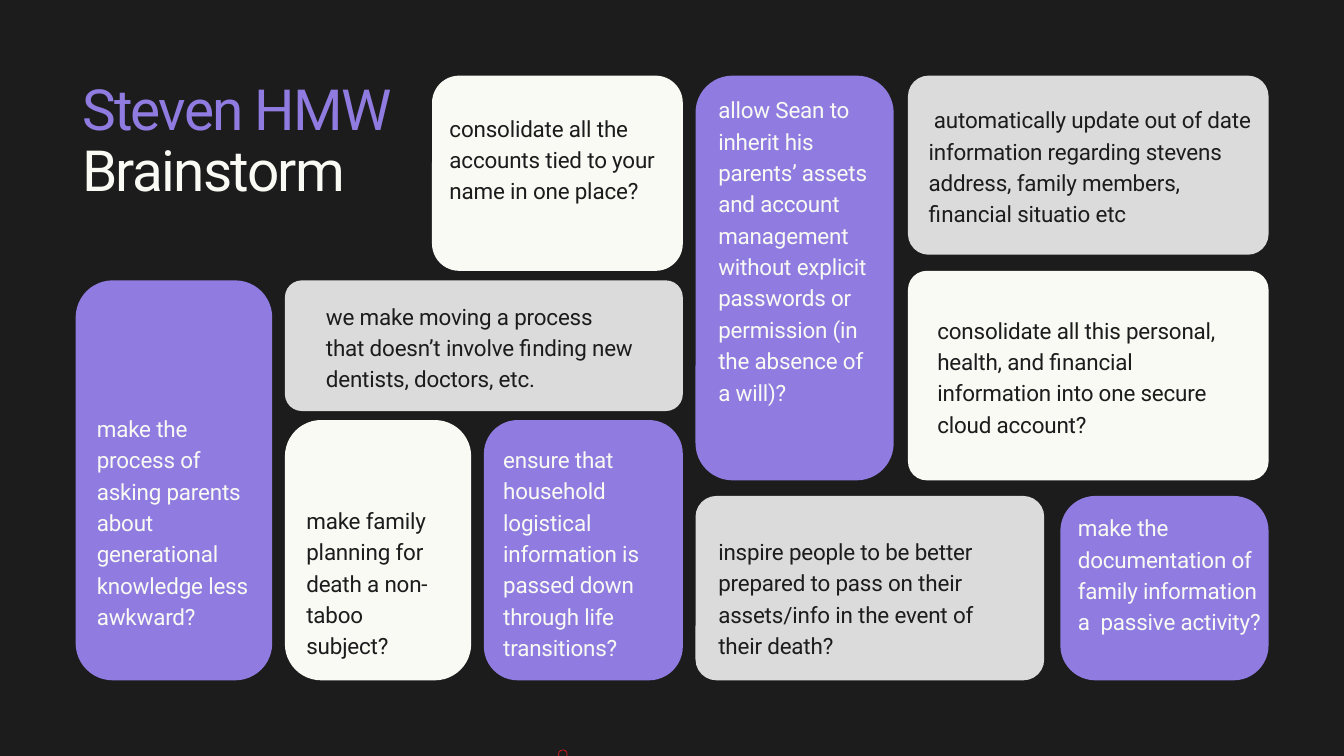
"""Build the Steven HMW brainstorm slide: a title and ten idea cards."""
from pptx import Presentation
from pptx.dml.color import RGBColor
from pptx.enum.shapes import MSO_SHAPE
from pptx.enum.text import MSO_ANCHOR, MSO_AUTO_SIZE, PP_ALIGN
from pptx.util import Cm, Pt

ROUNDED = MSO_SHAPE.ROUNDED_RECTANGLE
OVAL = MSO_SHAPE.OVAL
TOP = MSO_ANCHOR.TOP
NO_AUTOFIT = MSO_AUTO_SIZE.NONE
LEFT = PP_ALIGN.LEFT

DARK = RGBColor(0x1C, 0x1C, 0x1D)
PURPLE = RGBColor(0x90, 0x7C, 0xE1)
CREAM = RGBColor(0xF9, 0xFA, 0xF4)
GREY = RGBColor(0xDB, 0xDB, 0xDB)
RED = RGBColor(0xE7, 0x19, 0x1F)
FONT = "Roboto"

CARDS = [
    (PURPLE, (2.86, 10.6, 10.29, 25.72), 1.4, (3.66, 15.52, 5.84, 9.27),
     "make the process of asking parents about generational knowledge less awkward?"),
    (GREY, (26.29, 18.75, 39.47, 25.72), 0.79, (27.15, 20.17, 10.85, 4.62),
     "inspire people to be better prepared to pass on their assets/info in the event of their death?"),
    (PURPLE, (40.08, 18.75, 47.95, 25.72), 1.32, (40.74, 19.28, 7.06, 5.79),
     "make the documentation of family information a  passive activity?"),
    (PURPLE, (26.29, 2.86, 33.78, 18.16), 1.4, (27.15, 3.48, 5.84, 13.94),
     "allow Sean to inherit his parents’ assets and account management without explicit "
     "passwords or permission (in the absence of a will)?"),
    (GREY, (10.77, 10.6, 25.81, 15.54), 0.64, (12.32, 11.28, 11.66, 3.45),
     "we make moving a process that doesn’t involve finding new dentists, doctors, etc."),
    (CREAM, (16.33, 2.86, 25.81, 10.24), 1.03, (16.99, 4.17, 7.87, 4.62),
     "consolidate all the accounts tied to your name in one place?"),
    (CREAM, (10.77, 15.88, 17.81, 25.72), 1.37, (11.58, 19, 5.41, 5.79),
     "make family planning for death a non-taboo subject?"),
    (PURPLE, (18.29, 15.88, 25.81, 25.72), 1.28, (19.02, 16.69, 5.84, 8.1),
     "ensure that household logistical information is passed down through life transitions?"),
    (CREAM, (34.32, 10.24, 47.95, 18.16), 0.71, (35.43, 11.81, 11.66, 4.62),
     "consolidate all this personal, health, and financial information into one secure cloud account?"),
    (GREY, (34.32, 2.86, 47.95, 9.63), 0.78, (35.1, 3.86, 12.37, 4.62),
     " automatically update out of date information regarding stevens address, "
     "family members, financial situatio etc"),
]


def prepare_frame(frame):
    frame.margin_left = frame.margin_top = frame.margin_right = frame.margin_bottom = 0
    frame.word_wrap = True
    frame.auto_size = NO_AUTOFIT
    frame.vertical_anchor = TOP


def format_paragraph(paragraph, size, color, line_spacing, tracking):
    paragraph.alignment = LEFT
    paragraph.line_spacing = Pt(line_spacing)
    paragraph.space_before = Pt(0)
    paragraph.font.name = FONT
    paragraph.font.size = Pt(size)
    paragraph.font.color.rgb = color
    for run in paragraph.runs:
        run._r.get_or_add_rPr().set("spc", str(tracking))


presentation = Presentation()
presentation.slide_width = Cm(50.8)
presentation.slide_height = Cm(28.58)
slide = presentation.slides.add_slide(presentation.slide_layouts[5])
slide.background.fill.solid()
slide.background.fill.fore_color.rgb = DARK

title = slide.shapes.title
title.left, title.top, title.width, title.height = Cm(3.1), Cm(3.1), Cm(12.8), Cm(4.6)
title.text_frame.text = "Steven HMW\nBrainstorm"
prepare_frame(title.text_frame)
for paragraph, color in zip(title.text_frame.paragraphs, (PURPLE, CREAM)):
    format_paragraph(paragraph, 60.8, color, 64.5, -180)

for fill, (left, top, right, bottom), radius, text_area, text in CARDS:
    width, height = right - left, bottom - top
    card = slide.shapes.add_shape(ROUNDED, Cm(left), Cm(top), Cm(width), Cm(height))
    card.adjustments[0] = radius / min(width, height)
    card.shadow.inherit = False
    card.fill.solid()
    card.fill.fore_color.rgb = fill
    card.line.fill.background()

    idea = slide.shapes.add_textbox(*[Cm(length) for length in text_area])
    idea.text_frame.text = text
    prepare_frame(idea.text_frame)
    text_color = CREAM if fill == PURPLE else DARK
    format_paragraph(idea.text_frame.paragraphs[0], 24, text_color, 33.6, -20)

ring = slide.shapes.add_shape(OVAL, Cm(21.11), Cm(28.35), Cm(0.33), Cm(0.33))
ring.shadow.inherit = False
ring.fill.background()
ring.line.color.rgb = RED
ring.line.width = Pt(0.75)

presentation.save("out.pptx")
